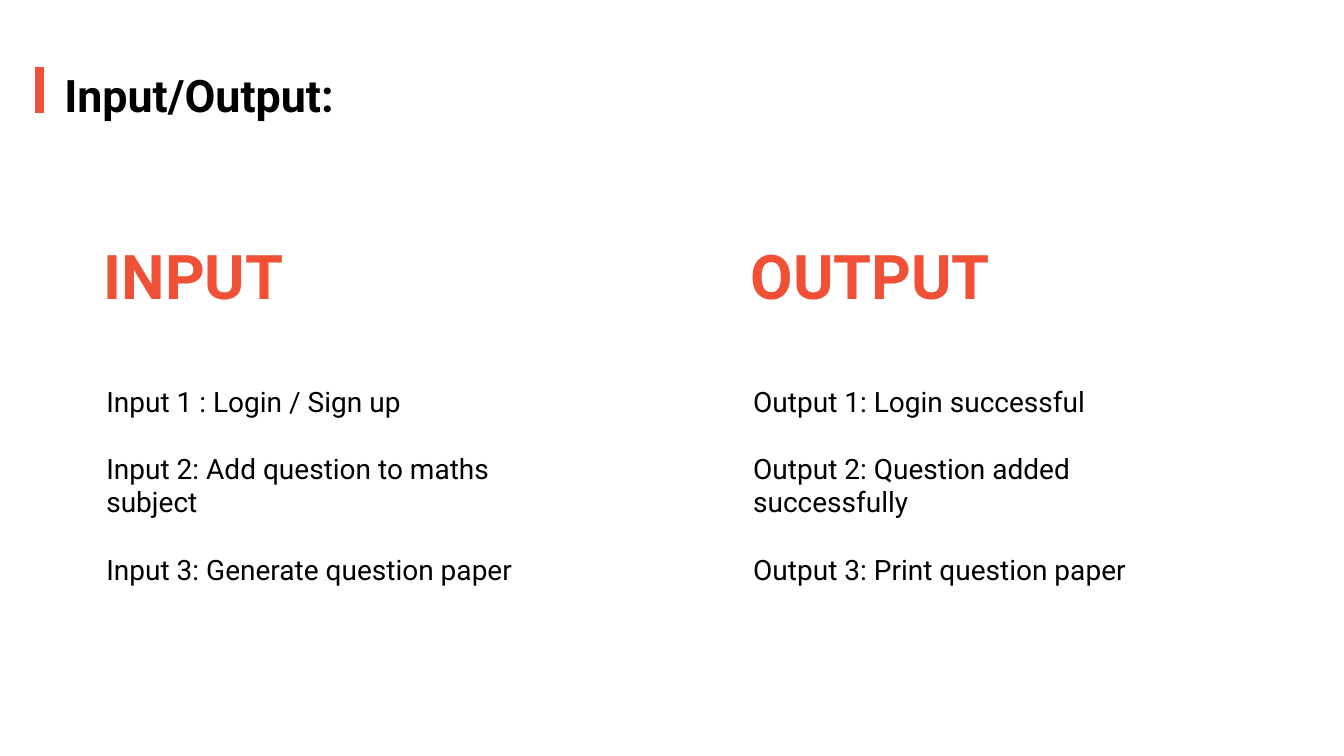
from pptx import Presentation
from pptx.dml.color import RGBColor
from pptx.enum import shapes, text
from pptx.util import Pt
from lxml import etree

FONT = "Roboto"
BLACK, WHITE, ACCENT = "000000", "FFFFFF", "F05136"
TWO_CONTENT_LAYOUT = 3

# Each column: left edge and width of its heading, heading, list entries
COLUMNS = [
    (67, 151, "INPUT", [
        "Input 1 : Login / Sign up",
        "Input 2: Add question to maths subject",
        "Input 3: Generate question paper",
    ]),
    (529, 198, "OUTPUT", [
        "Output 1: Login successful",
        "Output 2: Question added successfully",
        "Output 3: Print question paper",
    ]),
]


def color(value):
    return RGBColor.from_string(value)


def place(shape, left, top, width, height):
    shape.left, shape.top = Pt(left), Pt(top)
    shape.width, shape.height = Pt(width), Pt(height)


def remove_bullet(paragraph):
    properties = paragraph._p.get_or_add_pPr()
    properties.set("marL", "0")
    properties.set("indent", "0")
    namespace = properties.nsmap["a"]
    etree.SubElement(properties, f"{{{namespace}}}buNone")


def write(shape, lines, *, size, fill=BLACK, bold=False, wrap=True, gap=0):
    frame = shape.text_frame
    frame.text = "\n".join(lines)
    frame.word_wrap = wrap
    frame.auto_size = text.MSO_AUTO_SIZE.NONE
    frame.vertical_anchor = text.MSO_ANCHOR.TOP
    for paragraph in frame.paragraphs:
        paragraph.alignment = text.PP_ALIGN.LEFT
        paragraph.space_before = Pt(0)
        paragraph.space_after = Pt(gap)
        remove_bullet(paragraph)
        font = paragraph.runs[0].font
        font.name, font.size, font.bold = FONT, Pt(size), bold
        font.color.rgb = color(fill)


def add_rectangle(slide, left, top, width, height, *, fill, line=None):
    rectangle = slide.shapes.add_shape(
        shapes.MSO_SHAPE.RECTANGLE, Pt(left), Pt(top), Pt(width), Pt(height))
    rectangle.shadow.inherit = False
    rectangle.fill.solid()
    rectangle.fill.fore_color.rgb = color(fill)
    if line:
        rectangle.line.color.rgb = color(line)
        rectangle.line.width = Pt(1)
    else:
        rectangle.line.fill.background()
    return rectangle


def fill_column(slide, body, left, width, name, entries):
    heading = add_rectangle(slide, left, 166.5, width, 60.5, fill=WHITE)
    write(heading, [name], size=44, fill=ACCENT, bold=True)
    place(body, left + 1.75, 270.75, 316, 152.5)
    write(body, entries, size=20, gap=24)


def main():
    presentation = Presentation()
    presentation.slide_width, presentation.slide_height = Pt(960), Pt(540)
    layout = presentation.slide_layouts[TWO_CONTENT_LAYOUT]
    slide = presentation.slides.add_slide(layout)
    title, *bodies = slide.placeholders

    # Title with its accent bar
    add_rectangle(slide, 24.5, 47.5, 7.5, 34, fill=ACCENT, line=WHITE)
    place(title, 38.75, 44.5, 223, 46)
    write(title, ["Input/Output:"], size=32, bold=True, wrap=False)

    # Input and output columns
    for body, column in zip(bodies, COLUMNS):
        fill_column(slide, body, *column)

    presentation.save("out.pptx")


if __name__ == "__main__":
    main()
